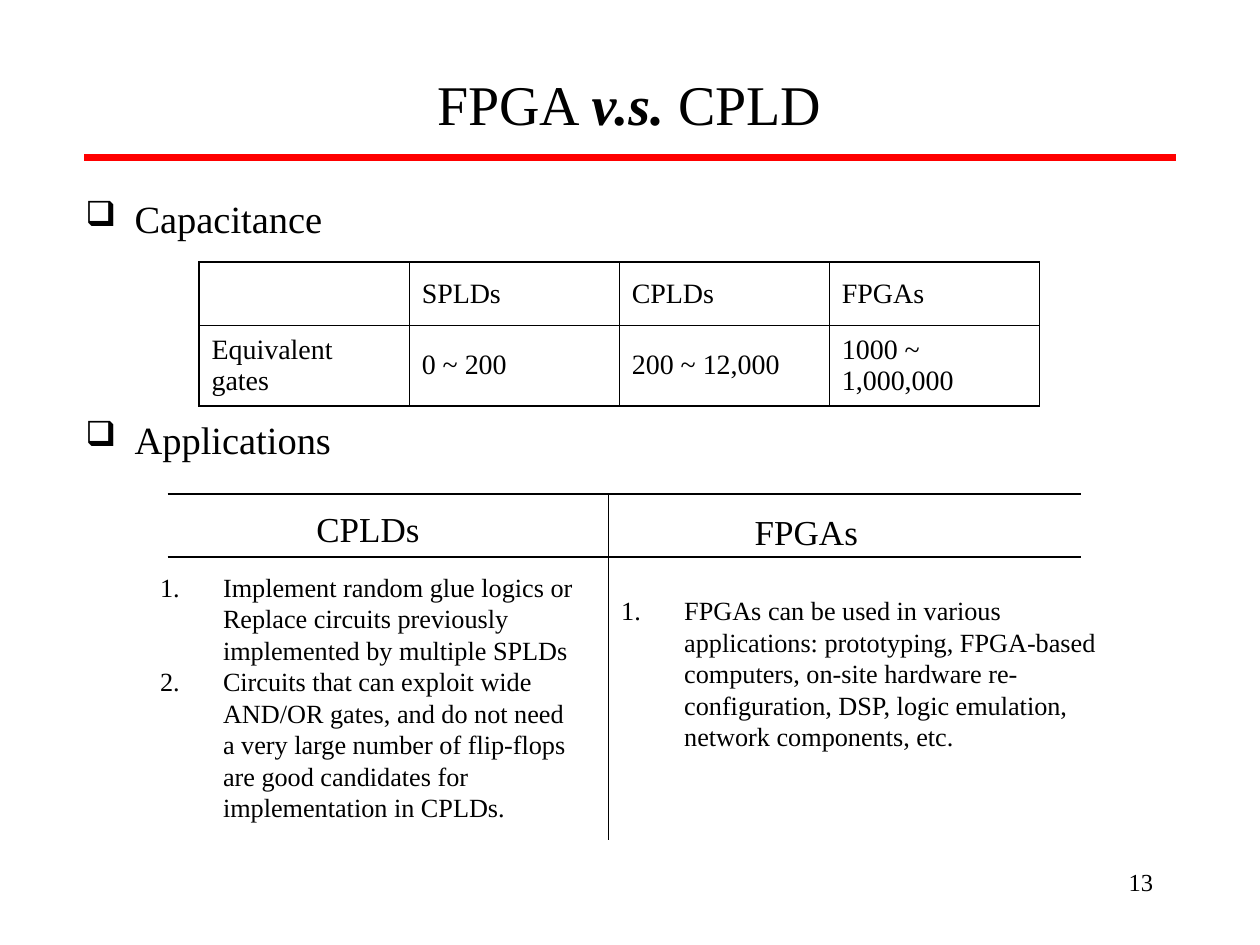
import dataclasses
import pptx
import pptx.dml.color
import pptx.enum.shapes
import pptx.enum.text
import pptx.oxml
import pptx.oxml.ns
import pptx.util

Inches = pptx.util.Inches
Pt = pptx.util.Pt
Align = pptx.enum.text.PP_ALIGN
Anchor = pptx.enum.text.MSO_ANCHOR
NAMESPACE = pptx.oxml.ns.nsdecls("a")


@dataclasses.dataclass(frozen=True)
class Theme:
    font: str = "Times New Roman"
    ink: str = "000000"
    accent: str = "FF0000"
    title: float = 32
    section: float = 22
    column: float = 20
    cell: float = 16
    item: float = 15
    number: float = 14
    rule: float = 4.5
    divider: float = 0.75
    outer_border: float = 1.08
    inner_border: float = 0.45


THEME = Theme()
SQUARE = '<a:buSzPct val="90000"/>', '<a:buChar char="❑"/>'
NUMBERED = ('<a:buAutoNum type="arabicPeriod"/>',)


def set_attributes(target, values):
    for name, value in values.items():
        setattr(target, name, value)


def append_xml(parent, markup):
    parent.append(pptx.oxml.parse_xml(markup.replace("/>", f" {NAMESPACE}/>", 1)))


def place(shape, box):
    names = ("left", "top", "width", "height")
    set_attributes(shape, dict(zip(names, map(Inches, box))))
    return shape


def add_run(paragraph, text, size, bold=False, italic=False):
    run = paragraph.add_run()
    run.text = text
    set_attributes(run.font, {"name": THEME.font, "size": Pt(size), "bold": bold, "italic": italic})
    run.font.color.rgb = pptx.dml.color.RGBColor.from_string(THEME.ink)


def add_bullet(paragraph, indent, markers):
    properties = paragraph._p.get_or_add_pPr()
    properties.set("marL", str(Inches(indent)))
    properties.set("indent", str(-Inches(indent)))
    for marker in markers:
        append_xml(properties, marker)


def write(shape, lines, size, align=Align.LEFT, indent=0, markers=()):
    frame = shape.text_frame
    set_attributes(frame, {
        "word_wrap": True,
        "auto_size": pptx.enum.text.MSO_AUTO_SIZE.NONE,
        "vertical_anchor": Anchor.TOP,
    })
    for index, line in enumerate(lines):
        paragraph = frame.add_paragraph() if index else frame.paragraphs[0]
        set_attributes(paragraph, {
            "alignment": align, "line_spacing": 1.0, "space_before": Pt(0), "space_after": Pt(0),
        })
        runs = [(line,)] if isinstance(line, str) else line
        for text, *style in runs:
            add_run(paragraph, text, size, *style)
        if markers:
            add_bullet(paragraph, indent, markers)


def add_text(slide, box, lines, size, **options):
    write(slide.shapes.add_textbox(*map(Inches, box)), lines, size, **options)


def add_line(slide, start, end, color, width):
    line = slide.shapes.add_connector(
        pptx.enum.shapes.MSO_CONNECTOR.STRAIGHT, *map(Inches, (*start, *end)))
    line.line.color.rgb = pptx.dml.color.RGBColor.from_string(color)
    line.line.width = Pt(width)
    append_xml(line._element.spPr, "<a:effectLst/>")


def add_header(slide, box):
    left, top, width, height = box
    title = place(slide.shapes.title, box)
    runs = [("FPGA ",), ("v.s. ", True, True), ("CPLD",)]
    write(title, [runs], THEME.title, align=Align.CENTER)
    rule = top + height + 0.11
    add_line(slide, (0.67, rule), (9.33, rule), THEME.accent, THEME.rule)


def add_section(slide, box, text):
    add_text(slide, box, [text], THEME.section, indent=0.39, markers=SQUARE)


def set_borders(cell, outer_sides):
    properties = cell._tc.get_or_add_tcPr()
    for index, side in enumerate("LRTB"):
        width = THEME.outer_border if side in outer_sides else THEME.inner_border
        properties.insert(index, pptx.oxml.parse_xml(
            f'<a:ln{side} {NAMESPACE} w="{Pt(width)}"><a:solidFill>'
            f'<a:srgbClr val="{THEME.ink}"/></a:solidFill></a:ln{side}>'))


def add_capacity_table(slide, box, rows, heights):
    row_count, column_count = len(rows), len(rows[0])
    table = slide.shapes.add_table(row_count, column_count, *map(Inches, box)).table
    set_attributes(table, {"first_row": False, "horz_banding": False})
    for column in table.columns:
        column.width = Inches(box[2] / column_count)
    for row_index, values in enumerate(rows):
        table.rows[row_index].height = Inches(heights[row_index])
        for column_index, text in enumerate(values):
            cell = table.cell(row_index, column_index)
            cell.vertical_anchor = Anchor.MIDDLE
            cell.fill.background()
            edges = {"L": column_index == 0, "R": column_index == column_count - 1,
                     "T": row_index == 0, "B": row_index == row_count - 1}
            set_borders(cell, [side for side, outer in edges.items() if outer])
            if text:
                add_run(cell.text_frame.paragraphs[0], text, THEME.cell)


def add_dividers(slide, box):
    left, top, width, height = box
    middle = left + 3.5
    for y in (top, top + 0.5):
        add_line(slide, (left, y), (left + width, y), THEME.ink, THEME.divider)
    add_line(slide, (middle, top), (middle, top + height), THEME.ink, THEME.divider)


def add_application_column(slide, first_index, heading_box, heading, list_box, items):
    heading_shape = place(slide.placeholders[first_index], heading_box)
    write(heading_shape, [heading], THEME.column, align=Align.CENTER)
    list_shape = place(slide.placeholders[first_index + 1], list_box)
    write(list_shape, items, THEME.item, indent=0.5, markers=NUMBERED)


def build_comparison_slide(presentation):
    slide = presentation.slides.add_slide(presentation.slide_layouts[4])
    add_header(slide, (0.58, 0.5, 8.83, 0.64))
    add_section(slide, (0.58, 1.5, 3, 0.47), "Capacitance")
    add_capacity_table(slide, (1.58, 2.08, 6.67, 1.14), [
        ("", "SPLDs", "CPLDs", "FPGAs"),
        ("Equivalent gates", "0 ~ 200", "200 ~ 12,000", "1000 ~ 1,000,000"),
    ], (0.5, 0.64))
    add_section(slide, (0.58, 3.25, 3, 0.47), "Applications")
    add_dividers(slide, (1.33, 3.92, 7.25, 2.75))
    add_application_column(slide, 1, (2.32, 3.98, 1.2, 0.44), "CPLDs", (1.17, 4.48, 3.53, 2.1), [
        "Implement random glue logics or Replace circuits previously "
        "implemented by multiple SPLDs",
        "Circuits that can exploit wide AND/OR gates, and do not need a very large "
        "number of flip-flops are good candidates for implementation in CPLDs.",
    ])
    add_application_column(slide, 3, (5.8, 4, 1.2, 0.44), "FPGAs", (4.83, 4.67, 4.08, 1.73), [
        "FPGAs can be used in various applications: prototyping, FPGA-based computers, "
        "on-site hardware re-configuration, DSP, logic emulation, network components, etc.",
    ])
    add_text(slide, (7.17, 6.83, 2.08, 0.5), ["13"], THEME.number, align=Align.RIGHT)


def main():
    presentation = pptx.Presentation()
    set_attributes(presentation, {"slide_width": Inches(10), "slide_height": Inches(7.5)})
    build_comparison_slide(presentation)
    presentation.save("out.pptx")


if __name__ == "__main__":
    main()
